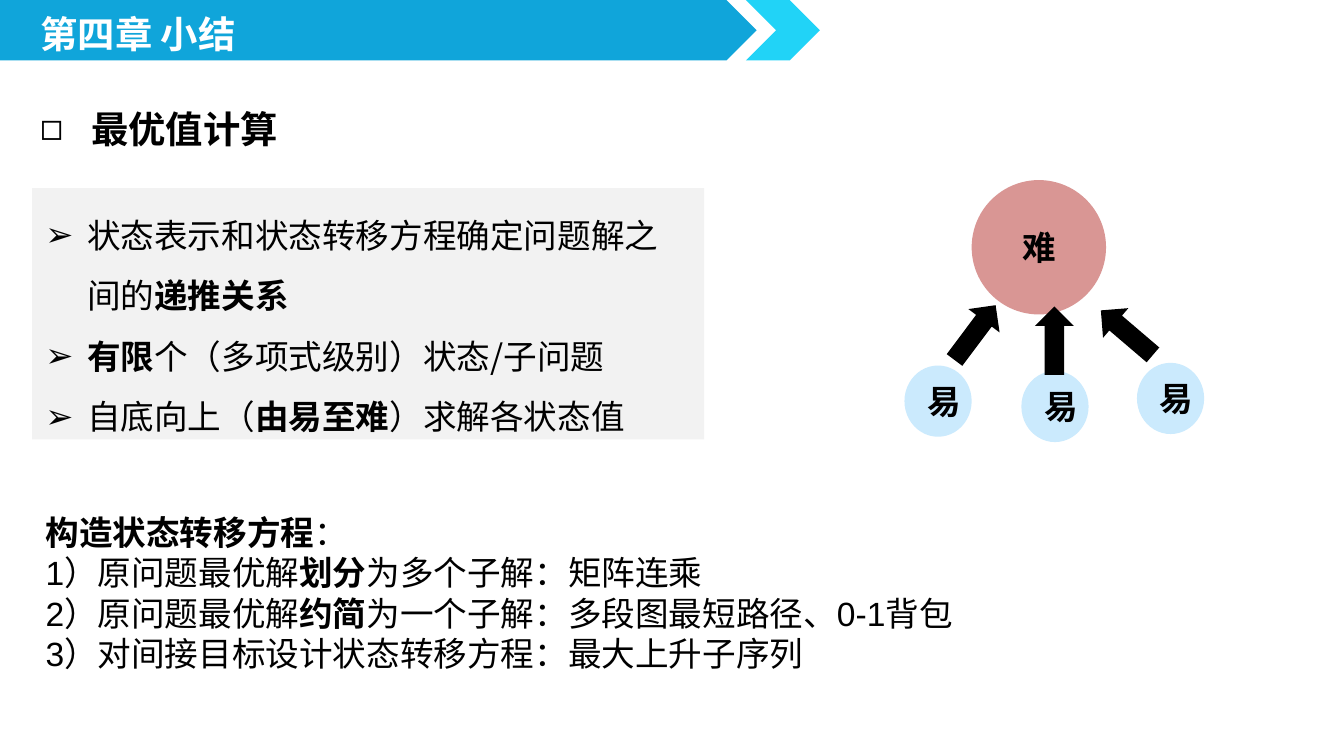
from lxml.etree import SubElement
from pptx import Presentation
from pptx.dml.color import RGBColor
from pptx.enum.shapes import MSO_SHAPE as Shape
from pptx.enum.text import MSO_ANCHOR as Anchor, MSO_AUTO_SIZE as AutoSize, PP_ALIGN as Align
from pptx.oxml.ns import qn
from pptx.util import Inches, Pt

CJK = "Noto Sans CJK SC"


def color(value):
    """Turn a hex string into a colour."""
    return RGBColor.from_string(value)


def add_bullet(paragraph, mark, indent):
    """Give a paragraph a hanging bullet."""
    properties = paragraph._p.get_or_add_pPr()
    properties.set("marL", str(Inches(indent)))
    properties.set("indent", str(-Inches(indent)))
    SubElement(properties, qn("a:buFont"), typeface="Arial")
    SubElement(properties, qn("a:buChar"), char=mark)


def write(frame, lines, size=18, font=CJK, ink="000000", align=Align.LEFT,
          anchor=Anchor.TOP, wrap=True, bullet=None, indent=0, spacing=None):
    """Fill a frame with lines, each a list of (text, bold) pairs."""
    frame.word_wrap = wrap
    frame.auto_size = AutoSize.NONE
    frame.vertical_anchor = anchor
    for index, line in enumerate(lines):
        paragraph = frame.add_paragraph() if index else frame.paragraphs[0]
        paragraph.alignment = align
        if spacing:
            paragraph.line_spacing = spacing
        if bullet:
            add_bullet(paragraph, bullet, indent)
        paragraph.font.size = Pt(size)
        paragraph.font.name = font
        paragraph.font.color.rgb = color(ink)
        SubElement(paragraph._p.pPr.find(qn("a:defRPr")), qn("a:ea"), typeface=CJK)
        for text, bold in line:
            run = paragraph.add_run()
            run.text = text
            run.font.bold = bold


def add_figure(slide, kind, box, fill, rotation=0):
    """Add a filled shape without outline."""
    figure = slide.shapes.add_shape(kind, *map(Inches, box))
    figure.shadow.inherit = False
    figure.fill.solid()
    figure.fill.fore_color.rgb = color(fill)
    figure.line.fill.background()
    figure.rotation = rotation
    return figure


def add_text(slide, box, lines, **style):
    """Add a text box."""
    write(slide.shapes.add_textbox(*map(Inches, box)).text_frame, lines, **style)


def add_circle(slide, box, fill, label):
    """Add a problem circle with its difficulty."""
    circle = add_figure(slide, Shape.OVAL, box, fill)
    write(circle.text_frame, [[(label, True)]], font="Arial",
          align=Align.CENTER, anchor=Anchor.MIDDLE)


def add_header(slide, text):
    """Draw the banner and put the title on top of it."""
    add_figure(slide, Shape.PENTAGON, (0, 0, 5.63, 0.45), "10A5DA")
    add_figure(slide, Shape.CHEVRON, (5.55, 0, 0.55, 0.45), "21D3F7")
    title = slide.shapes.title
    title.left, title.top, title.width, title.height = map(Inches, (0.2, 0.03, 1.69, 0.44))
    write(title.text_frame, [[(text, True)]], size=20, ink="FFFFFF", wrap=False)
    slide.shapes._spTree.append(title._element)


def add_diagram(slide):
    """Draw easy subproblems leading to the hard one."""
    add_circle(slide, (7.23, 1.34, 1, 1), "D99694", "难")
    for left, top in ((6.73, 2.72), (7.6, 2.76), (8.46, 2.7)):
        add_circle(slide, (left, top, 0.5, 0.53), "CBEAFD", "易")
    for left, top, rotation in ((7.11, 2.22, 36.9), (7.7, 2.28, 0), (8.24, 2.22, 310.5)):
        add_figure(slide, Shape.UP_ARROW, (left, top, 0.29, 0.51), "000000", rotation)


def main():
    """Build the chapter summary slide."""
    deck = Presentation()
    deck.slide_width, deck.slide_height = Inches(10), Inches(10 * 9 / 16)
    slide = deck.slides.add_slide(deck.slide_layouts[5])
    add_header(slide, "第四章 小结")
    add_text(slide, (0.2, 0.74, 1.98, 0.44), [[("最优值计算", True)]],
             size=20, wrap=False, bullet="◻", indent=0.38)
    panel = add_figure(slide, Shape.RECTANGLE, (0.24, 1.4, 5, 1.87), "F2F2F2")
    write(panel.text_frame, [
        [("状态表示和状态转移方程确定问题解之间的", False), ("递推关系", True)],
        [("有限", True), ("个（多项式级别）状态/子问题", False)],
        [("自底向上（", False), ("由易至难", True), ("）求解各状态值", False)],
    ], bullet="➢", indent=0.31, spacing=1.5)
    add_text(slide, (0.24, 3.76, 7.02, 1.31), [
        [("构造状态转移方程", True), ("：", False)],
        [("1）原问题最优解", False), ("划分", True), ("为多个子解：矩阵连乘", False)],
        [("2）原问题最优解", False), ("约简", True),
         ("为一个子解：多段图最短路径、0-1背包", False)],
        [("3）对间接目标设计状态转移方程：最大上升子序列", False)],
    ], font="Arial")
    add_diagram(slide)
    deck.save("out.pptx")


if __name__ == "__main__":
    main()
